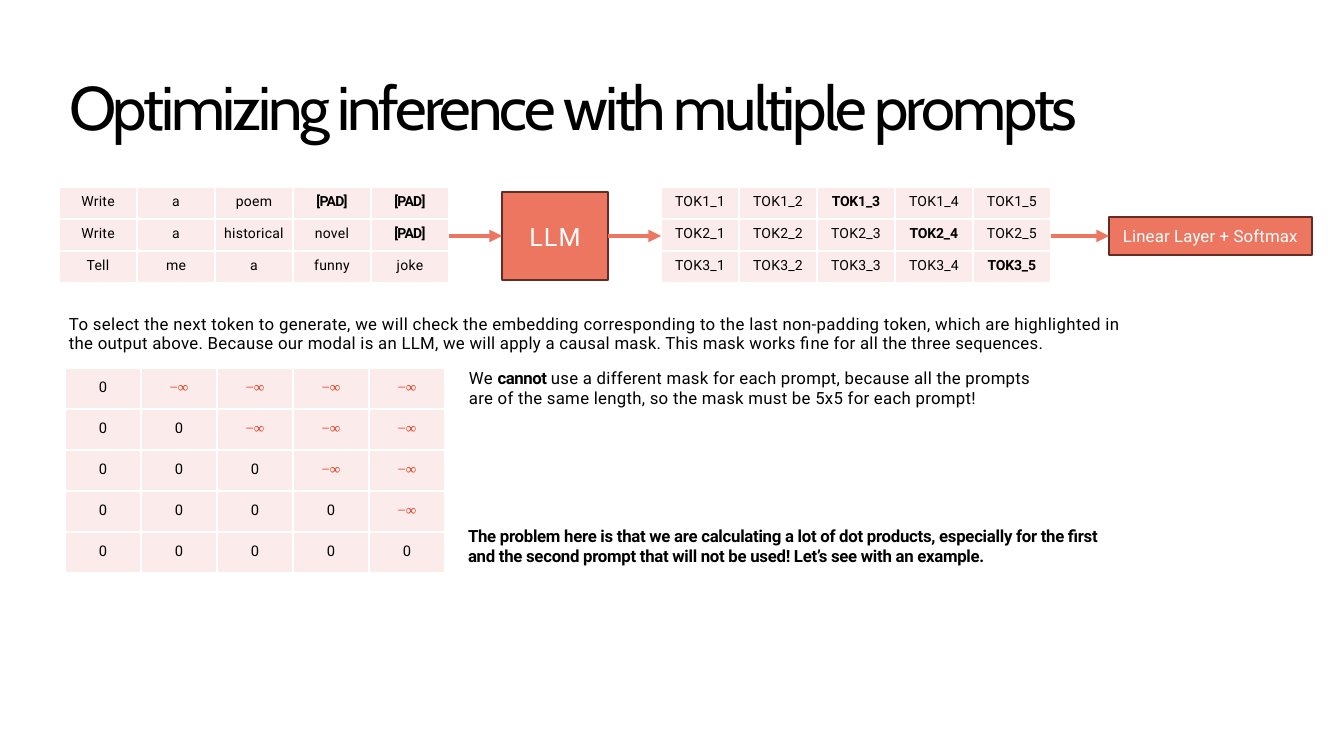
from dataclasses import dataclass

import pptx
import pptx.dml.color
import pptx.enum.shapes
import pptx.enum.text
import pptx.oxml.ns
import pptx.util
from lxml import etree

EMU_PER_PX = 12192000 / 1344
qn = pptx.oxml.ns.qn
ANCHOR = pptx.enum.text.MSO_ANCHOR
ALIGN = pptx.enum.text.PP_ALIGN


@dataclass(frozen=True)
class Theme:
    heading_font: str = "Cabin"
    body_font: str = "Roboto"
    symbol_font: str = "Times New Roman"
    ink: str = "000000"
    white: str = "FFFFFF"
    coral: str = "ED7660"
    outline: str = "632D23"
    cell: str = "FBEBEA"
    masked: str = "E23717"
    title_size: float = 44
    model_size: float = 18
    body_size: float = 12
    mask_size: float = 10.5
    token_size: float = 10


THEME = Theme()


@dataclass(frozen=True)
class Box:
    left: int
    top: int
    width: int
    height: int

    def emu(self) -> list[int]:
        return [px(value) for value in (self.left, self.top, self.width, self.height)]


@dataclass(frozen=True)
class Style:
    size: float
    color: str = THEME.ink
    font: str = THEME.body_font
    bold: bool = False
    spacing: float = 0
    align: ALIGN = ALIGN.LEFT


@dataclass(frozen=True)
class Line:
    text: str
    style: Style
    indent: int = 0
    before: float = 0
    exact: float = 0
    strong: str = ""


@dataclass(frozen=True)
class Grid:
    left: int
    top: int
    column: int
    row: int
    inset: int
    cells: list[list[Line]]


def px(value: int) -> int:
    return pptx.util.Emu(round(value * EMU_PER_PX))


def rgb(color: str) -> pptx.dml.color.RGBColor:
    return pptx.dml.color.RGBColor.from_string(color)


def write_line(paragraph, line: Line) -> None:
    style = line.style
    paragraph.alignment = style.align
    paragraph.font.size = pptx.util.Pt(style.size)
    paragraph.font.name = style.font
    paragraph.font.bold = style.bold
    paragraph.font.color.rgb = rgb(style.color)
    if line.before:
        paragraph.space_before = pptx.util.Pt(line.before)
    if line.exact:
        paragraph.line_spacing = pptx.util.Pt(line.exact)
    if line.indent:
        paragraph._p.get_or_add_pPr().set("marL", str(px(line.indent)))
    before, strong, after = line.text.partition(line.strong) if line.strong else (line.text, "", "")
    for text in filter(None, (before, strong, after)):
        run = paragraph.add_run()
        run.text = text
        spacing = style.spacing
        if text == strong:
            run.font.bold = True
            spacing = -0.3
        run._r.get_or_add_rPr().set("spc", str(round(spacing * 100)))


def fill_frame(frame, lines: list[Line], top_inset: int = 1, anchor=ANCHOR.TOP) -> None:
    frame.word_wrap = True
    frame.auto_size = pptx.enum.text.MSO_AUTO_SIZE.NONE
    frame.vertical_anchor = anchor
    frame.margin_left = frame.margin_right = frame.margin_bottom = 0
    frame.margin_top = px(top_inset)
    for index, line in enumerate(lines):
        write_line(frame.add_paragraph() if index else frame.paragraphs[0], line)


def add_text(slide, box: Box, lines: list[Line]) -> None:
    fill_frame(slide.shapes.add_textbox(*box.emu()).text_frame, lines)


def add_block(slide, box: Box, line: Line):
    shape = slide.shapes.add_shape(pptx.enum.shapes.MSO_SHAPE.RECTANGLE, *box.emu())
    shape.shadow.inherit = False
    shape.fill.solid()
    shape.fill.fore_color.rgb = rgb(THEME.coral)
    shape.line.color.rgb = rgb(THEME.outline)
    shape.line.width = pptx.util.Pt(1)
    fill_frame(shape.text_frame, [line], 0, ANCHOR.MIDDLE)
    return shape


def add_borders(cell) -> None:
    properties = cell._tc.get_or_add_tcPr()
    for index, side in enumerate(("lnL", "lnR", "lnT", "lnB")):
        border = etree.Element(qn(f"a:{side}"), w=str(pptx.util.Pt(1)))
        solid = etree.SubElement(border, qn("a:solidFill"))
        etree.SubElement(solid, qn("a:srgbClr"), val=THEME.white)
        properties.insert(index, border)


def add_grid(slide, grid: Grid) -> None:
    rows, columns = len(grid.cells), len(grid.cells[0])
    box = Box(grid.left, grid.top, columns * grid.column, rows * grid.row)
    table = slide.shapes.add_table(rows, columns, *box.emu()).table
    table.first_row = table.horz_banding = False
    for column in table.columns:
        column.width = px(grid.column)
    for row, lines in zip(table.rows, grid.cells):
        row.height = px(grid.row)
        for cell, line in zip(row.cells, lines):
            cell.margin_left = cell.margin_right = cell.margin_bottom = 0
            cell.margin_top = px(grid.inset)
            cell.fill.solid()
            cell.fill.fore_color.rgb = rgb(THEME.cell)
            add_borders(cell)
            write_line(cell.text_frame.paragraphs[0], line)


def add_arrow(slide, start: int, end: int, middle: int, source=None, target=None) -> None:
    connector = slide.shapes.add_connector(
        pptx.enum.shapes.MSO_CONNECTOR.STRAIGHT, px(start), px(middle), px(end), px(middle))
    if source is not None:
        connector.begin_connect(source, 3)
    if target is not None:
        connector.end_connect(target, 1)
    connector.line.color.rgb = rgb(THEME.coral)
    connector.line.width = pptx.util.Pt(3)
    properties = connector._element.spPr
    etree.SubElement(properties.find(qn("a:ln")), qn("a:tailEnd"), type="triangle")
    etree.SubElement(properties, qn("a:effectLst"))


def token_line(text: str, bold: bool) -> Line:
    spacing = (-0.5 if text == "[PAD]" else -0.1) if bold else 0.2
    return Line(text, Style(THEME.token_size, bold=bold, spacing=spacing, align=ALIGN.CENTER))


def main() -> None:
    presentation = pptx.Presentation()
    presentation.slide_width, presentation.slide_height = px(1344), px(756)
    slide = presentation.slides.add_slide(presentation.slide_layouts[5])

    title = slide.shapes.title
    title.left, title.top, title.width, title.height = Box(69, 68, 1048, 77).emu()
    title_style = Style(THEME.title_size, font=THEME.heading_font, spacing=-2.2)
    fill_frame(title.text_frame, [Line("Optimizing inference with multiple prompts", title_style)])

    zero = Line("0", Style(THEME.mask_size, align=ALIGN.CENTER))
    masked = Line("−∞", Style(THEME.mask_size, THEME.masked, THEME.symbol_font, align=ALIGN.CENTER))
    mask = [[masked if column > row else zero for column in range(5)] for row in range(5)]
    prompts = ["Write a poem [PAD] [PAD]", "Write a historical novel [PAD]", "Tell me a funny joke"]
    inputs = [[token_line(word, word == "[PAD]") for word in prompt.split()] for prompt in prompts]
    outputs = [[token_line(f"TOK{row}_{column}", column == row + 2) for column in range(1, 6)]
               for row in range(1, 4)]
    for grid in (Grid(65, 368, 76, 41, 11, mask),
                 Grid(59, 187, 78, 32, 7, inputs),
                 Grid(661, 187, 78, 32, 7, outputs)):
        add_grid(slide, grid)

    body = Style(THEME.body_size, spacing=0.2)
    strong = Style(THEME.body_size, bold=True, spacing=-0.2)
    add_text(slide, Box(69, 314, 1070, 96), [
        Line("To select the next token to generate, we will check the embedding corresponding to the "
             "last non-padding token, which are highlighted in",
             Style(THEME.body_size, spacing=0.25), exact=13.7),
        Line("the output above. Because our modal is an LLM, we will apply a causal mask. "
             "This mask works fine for all the three sequences.", body, exact=13.7),
        Line("We cannot use a different mask for each prompt, because all the prompts",
             body, indent=400, before=10.4, strong="cannot "),
        Line("are of the same length, so the mask must be 5x5 for each prompt!", body, indent=400),
    ])
    add_text(slide, Box(468, 525, 707, 43), [
        Line("The problem here is that we are calculating a lot of dot products, "
             "especially for the first", strong),
        Line("and the second prompt that will not be used! Let’s see with an example.", strong),
    ])

    model = add_block(slide, Box(502, 192, 106, 88), Line(
        "LLM", Style(THEME.model_size, THEME.white, spacing=0.7, align=ALIGN.CENTER)))
    softmax = add_block(slide, Box(1109, 217, 203, 38), Line(
        "Linear Layer + Softmax",
        Style(THEME.body_size, THEME.white, spacing=0.1, align=ALIGN.CENTER)))
    add_arrow(slide, 449, 502, 236, target=model)
    add_arrow(slide, 608, 661, 236, source=model)
    add_arrow(slide, 1051, 1109, 236, target=softmax)

    presentation.save("out.pptx")


if __name__ == "__main__":
    main()
